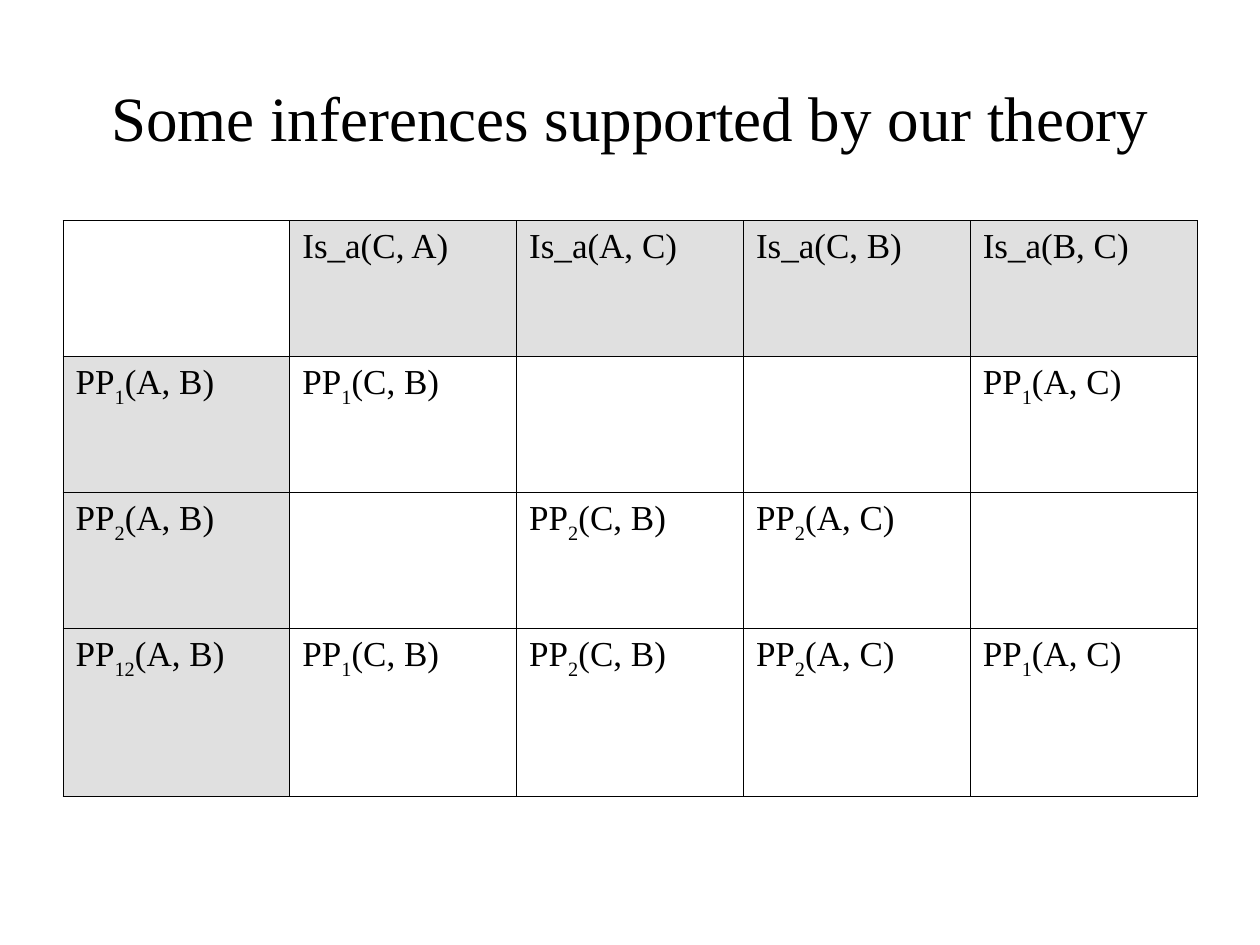
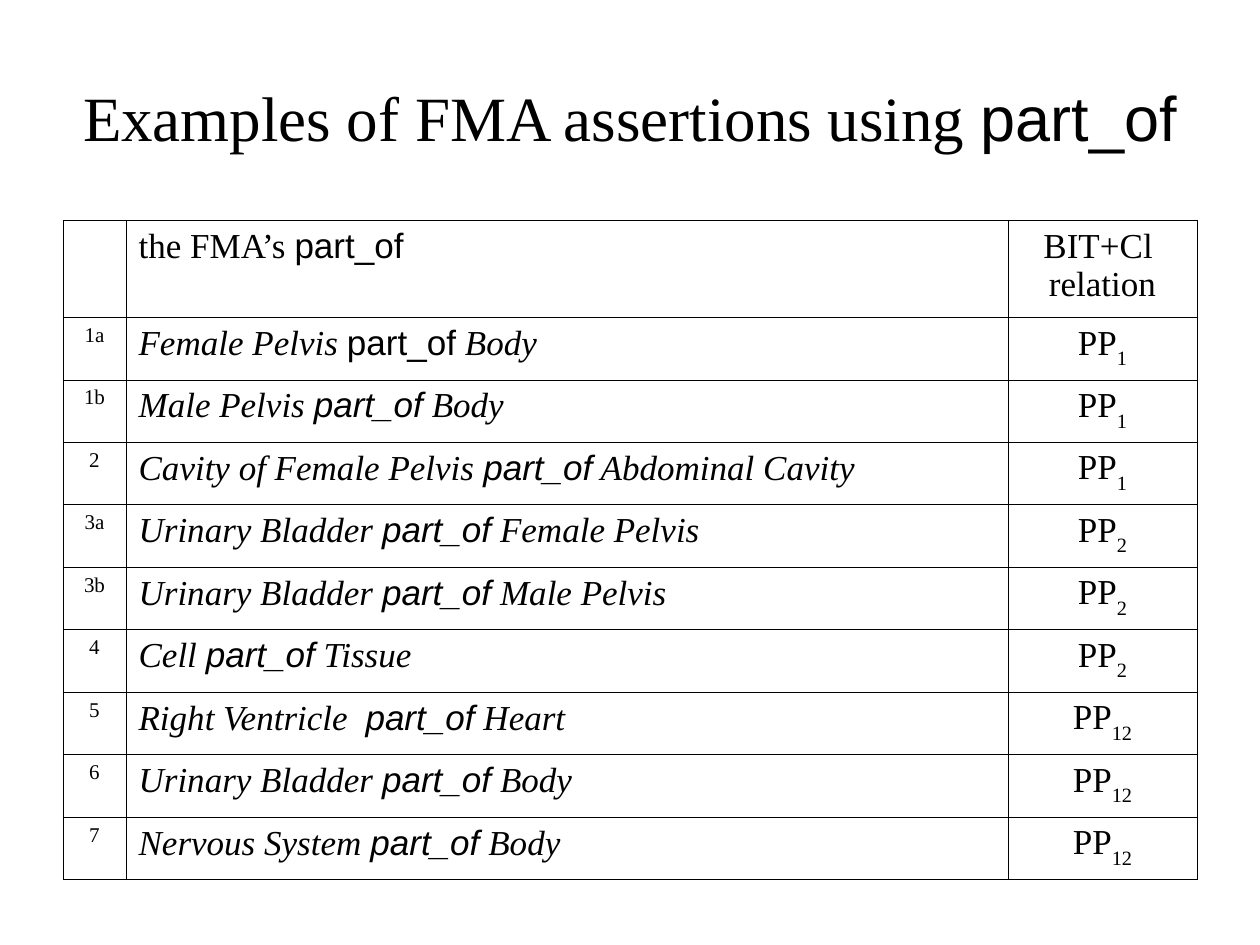
from lxml import etree
from pptx import Presentation
from pptx import util as u
from pptx.dml.color import RGBColor
from pptx.enum import text
from pptx.oxml import ns

BLACK = RGBColor(0x00, 0x00, 0x00)
WHITE = RGBColor(0xFF, 0xFF, 0xFF)
GREY = RGBColor(0xE0, 0xE0, 0xE0)
SERIF = "Times New Roman"
SANS = "Arial"

TITLE_BOX = (0.5, 0.3, 9, 1.25)
TABLE_LEFT, TABLE_TOP = 0.5, 1.75
BORDER_WIDTH = u.Pt(0.45)
HANGING = u.Inches(0.38)
CENTER = text.PP_ALIGN.CENTER
LEFT = text.PP_ALIGN.LEFT

PLAIN = {"name": SERIF}
ITALIC = {"name": SERIF, "italic": True}
CODE = {"name": SANS}
CODE_ITALIC = {"name": SANS, "italic": True}
SUBSCRIPT = {"name": SERIF, "baseline": -30000}

INFERENCE_HEADS = ["Is_a(C, A)", "Is_a(A, C)", "Is_a(C, B)", "Is_a(B, C)"]
INFERENCES = [
    [("1", "(A, B)"), ("1", "(C, B)"), None, None, ("1", "(A, C)")],
    [("2", "(A, B)"), None, ("2", "(C, B)"), ("2", "(A, C)"), None],
    [("12", "(A, B)"), ("1", "(C, B)"), ("2", "(C, B)"), ("2", "(A, C)"), ("1", "(A, C)")],
]
ASSERTIONS = [
    ("1a", "Female Pelvis ", CODE, " Body", "1"),
    ("1b", "Male Pelvis ", CODE_ITALIC, " Body", "1"),
    ("2", "Cavity of Female Pelvis ", CODE_ITALIC, " Abdominal Cavity", "1"),
    ("3a", "Urinary Bladder ", CODE_ITALIC, " Female Pelvis", "2"),
    ("3b", "Urinary Bladder ", CODE_ITALIC, " Male Pelvis", "2"),
    ("4", "Cell ", CODE_ITALIC, " Tissue", "2"),
    ("5", "Right Ventricle  ", CODE_ITALIC, " Heart", "12"),
    ("6", "Urinary Bladder ", CODE_ITALIC, " Body", "12"),
    ("7", "Nervous System ", CODE_ITALIC, " Body", "12"),
]


def add_spans(para, spans, size, align):
    para.alignment = align
    for words, style in spans:
        span = para.add_run()
        span.text = words
        span.font.size = u.Pt(size)
        span.font.color.rgb = BLACK
        for key, value in style.items():
            if key == "baseline":
                span._r.get_or_add_rPr().set(key, str(value))
            else:
                setattr(span.font, key, value)


def add_title(page, spans, box):
    frame = page.shapes.add_textbox(*map(u.Inches, box)).text_frame
    frame.word_wrap = True
    frame.vertical_anchor = text.MSO_ANCHOR.MIDDLE
    add_spans(frame.paragraphs[0], spans, 36, CENTER)


def add_borders(cell):
    properties = cell._tc.get_or_add_tcPr()
    for side in ("lnL", "lnR", "lnT", "lnB"):
        line = etree.SubElement(properties, ns.qn(f"a:{side}"), w=str(BORDER_WIDTH))
        fill = etree.SubElement(line, ns.qn("a:solidFill"))
        etree.SubElement(fill, ns.qn("a:srgbClr"), val=str(BLACK))


def add_grid(page, widths, heights):
    box = (TABLE_LEFT, TABLE_TOP, sum(widths), sum(heights))
    table = page.shapes.add_table(len(heights), len(widths), *map(u.Inches, box)).table
    table.first_row = table.horz_banding = False
    for column, width in zip(table.columns, widths):
        column.width = u.Inches(width)
    for row, height in zip(table.rows, heights):
        row.height = u.Inches(height)
    for cell in table.iter_cells():
        add_borders(cell)
        fill_cell(cell, WHITE)
    return table


def fill_cell(cell, color):
    cell.fill.solid()
    cell.fill.fore_color.rgb = color


def write_cell(cell, *lines, size=20, align=LEFT):
    frame = cell.text_frame
    for index, spans in enumerate(lines):
        para = frame.add_paragraph() if index else frame.paragraphs[0]
        properties = para._p.get_or_add_pPr()
        properties.set("marL", str(HANGING))
        properties.set("indent", str(-HANGING))
        add_spans(para, spans, size, align)


def relation(index, arguments=""):
    spans = [("PP", PLAIN), (index, SUBSCRIPT)]
    return spans + [(arguments, PLAIN)] if arguments else spans


def inference_page(page):
    add_title(page, [("Some inferences supported by our theory", PLAIN)], TITLE_BOX)
    table = add_grid(page, [1.8] * 5, [1.08] * 3 + [1.33])
    for column, head in enumerate(INFERENCE_HEADS, 1):
        write_cell(table.cell(0, column), [(head, PLAIN)])
        fill_cell(table.cell(0, column), GREY)
    for row, entries in enumerate(INFERENCES, 1):
        fill_cell(table.cell(row, 0), GREY)
        for column, entry in enumerate(entries):
            if entry:
                write_cell(table.cell(row, column), relation(*entry))


def assertion_page(page):
    add_title(page, [("Examples of FMA assertions using ", PLAIN), ("part_of", CODE)], TITLE_BOX)
    table = add_grid(page, [0.5, 7, 1.5], [0.77] + [0.5 - 0.04 / 10] * len(ASSERTIONS))
    write_cell(table.cell(0, 1), [("the FMA’s ", PLAIN), ("part_of", CODE)])
    write_cell(table.cell(0, 2), [("BIT+Cl ", PLAIN)], [("relation", PLAIN)], align=CENTER)
    for row, (label, part, style, whole, index) in enumerate(ASSERTIONS, 1):
        write_cell(table.cell(row, 0), [(label, PLAIN)], size=12, align=CENTER)
        write_cell(table.cell(row, 1), [(part, ITALIC), ("part_of", style), (whole, ITALIC)])
        write_cell(table.cell(row, 2), relation(index), align=CENTER)


def main():
    deck = Presentation()
    deck.slide_width, deck.slide_height = u.Inches(10), u.Inches(7.5)
    for build in (inference_page, assertion_page):
        build(deck.slides.add_slide(deck.slide_layouts[6]))
    deck.save("out.pptx")


if __name__ == "__main__":
    main()
